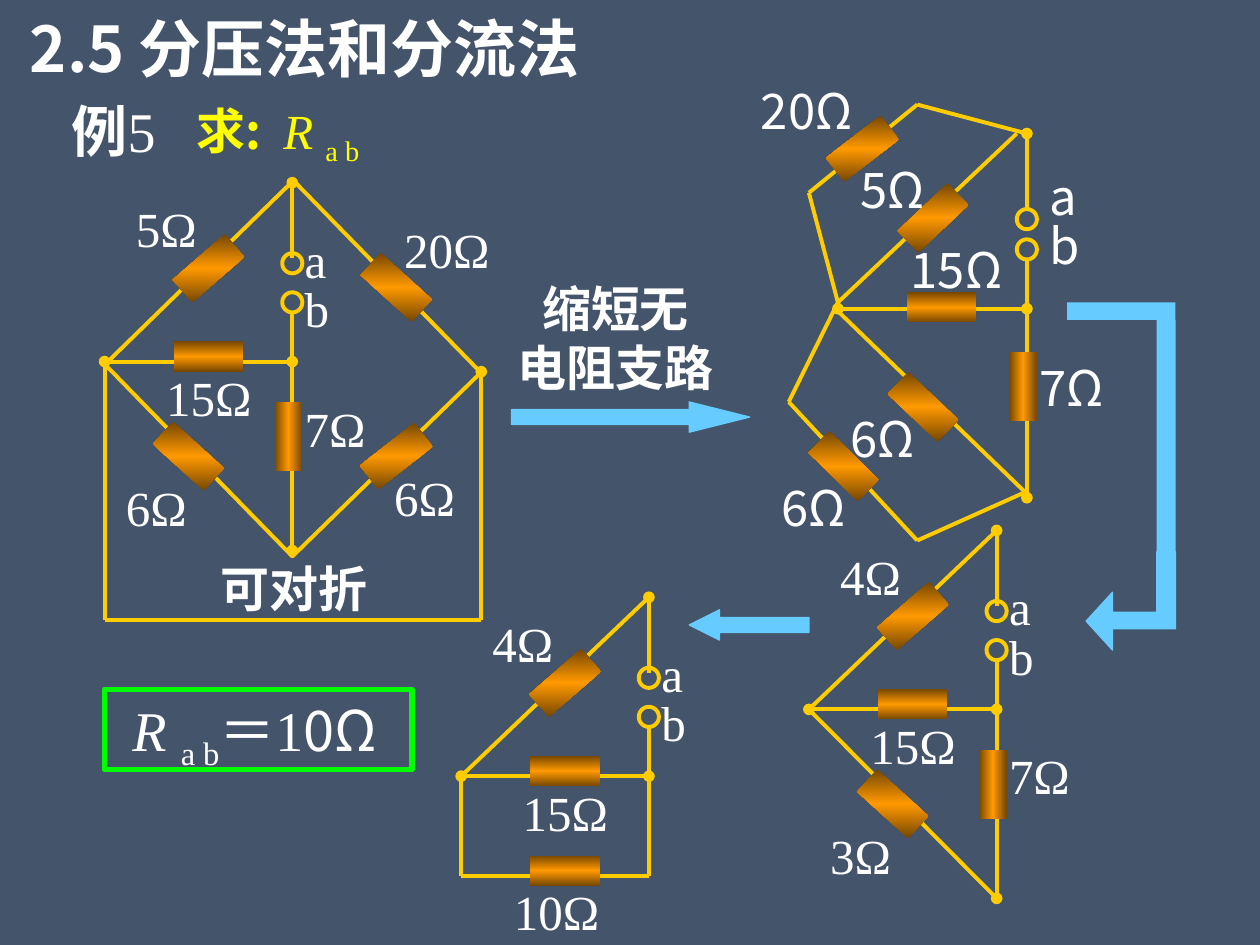
from lxml import etree
from pptx import Presentation
from pptx.dml.color import RGBColor
from pptx.enum.shapes import MSO_CONNECTOR, MSO_SHAPE
from pptx.enum.text import MSO_ANCHOR, PP_ALIGN
from pptx.oxml.ns import qn
from pptx.util import Inches, Pt

RECT, OVAL, ARROW = MSO_SHAPE.RECTANGLE, MSO_SHAPE.OVAL, MSO_SHAPE.RIGHT_ARROW
STRAIGHT = MSO_CONNECTOR.STRAIGHT
LEFT, CENTER = PP_ALIGN.LEFT, PP_ALIGN.CENTER
MIDDLE, TOP = MSO_ANCHOR.MIDDLE, MSO_ANCHOR.TOP
SERIF, SANS, PLAIN = "Times New Roman", "Noto Sans CJK SC", "Arial"
COLORS = {"back": "44546A", "wire": "FFCC00", "text": "FFFFFF", "ask": "FFFF00",
          "flow": "66CCFF", "answer": "00FF00", "core": "FF9900", "edge": "764700"}

prs = Presentation()
prs.slide_width, prs.slide_height = Inches(10), Inches(7.5)
cell = prs.slide_width / 100
slide = prs.slides.add_slide(prs.slide_layouts[5])
slide.background.fill.solid()
slide.background.fill.fore_color.rgb = RGBColor.from_string(COLORS["back"])


def grid(*cells):
    return [round(value * cell) for value in cells]


def add_run(paragraph, text, size, font, color="text", bold=False, italic=False, drop=False):
    run = paragraph.add_run()
    run.text = text
    run.font.size, run.font.name = Pt(size), font
    run.font.bold, run.font.italic = bold, italic
    run.font.color.rgb = RGBColor.from_string(COLORS[color])
    props = run.font._element
    etree.SubElement(props, qn("a:ea")).set("typeface", SANS)
    if drop:
        props.set("baseline", "-25000")


title = slide.shapes.title
title.left, title.top, title.width, title.height = grid(0, 0.2, 48.4, 7.1)
title.text_frame.vertical_anchor = MIDDLE
title.text_frame.paragraphs[0].alignment = CENTER
add_run(title.text_frame.paragraphs[0], "2.5 分压法和分流法", 36, SANS, bold=True)

wires = [
    (8.3, 28.7, 8.3, 49.2, ""), (8.3, 49.2, 38.2, 49.2, ""), (38.2, 29.5, 38.2, 49.2, "head"),
    (62.6, 31.9, 72.8, 42.9, ""), (66.3, 24.5, 81.5, 39.2, ""), (66.5, 24, 80.7, 10.6, ""),
    (81.5, 10.6, 81.5, 16.6, "head"), (81.5, 20.5, 81.5, 39.5, "tail"),
    (66.5, 24.5, 81.5, 24.5, "head tail"), (66.5, 24, 62.6, 31.9, ""),
    (81.5, 39, 72.8, 42.9, ""), (64.2, 15.3, 72.8, 8.3, ""),
    (64.2, 15.3, 66.5, 24, ""), (72.8, 8.3, 81.5, 10.6, ""),
    (51.5, 69.5, 36.6, 69.5, ""), (36.6, 61.6, 36.6, 69.5, ""), (51.5, 57.7, 51.5, 69.5, ""),
]
rings = [(80.7, 16.6), (80.7, 19)]
flat_resistors = [
    (28.7, 35, 321.8), (28.7, 21.6, 42.3), (72, 23.2, 0), (65.7, 10.6, 322.3),
    (71.3, 16.1, 316.4), (64.2, 35.8, 44.6), (70.5, 31.1, 43.5), (42.1, 67.9, 0),
]
upright_resistors = [(80.1, 27.9)]
labels = [
    (31.1, 16.9, "20Ω", SERIF), (30.3, 36.6, "6Ω", SERIF), (39.8, 69.5, "10Ω", SERIF),
    (71.3, 18.5, "15Ω", SANS), (59.4, 5.9, "20Ω", SANS), (82.3, 16.6, "b", SANS),
    (82.3, 12.7, "a", SANS), (67.3, 12.2, "5Ω", SANS), (66.5, 31.9, "6Ω", SANS),
    (61, 37.4, "6Ω", SANS), (81.5, 27.9, "7Ω", SANS),
]

for x, y, upper, lower in [(8.3, 28.7, "5Ω", "6Ω"), (64.2, 56.3, "4Ω", "3Ω"),
                           (36.6, 61.6, "4Ω", None)]:
    right = x + 14.9
    wires += [(right, y - 14.2, right, y - 8.2, "head"), (x, y, right, y, "head tail")]
    rings += [(x + 14.1, y - 8.6), (x + 14.1, y - 5.5)]
    flat_resistors += [(x + 5.5, y - 1.6, 0), (x + 5.5, y - 8.6, 318.8)]
    labels += [(x + 3.9, y, "15Ω", SERIF), (right, y - 7.1, "b", SERIF),
               (right, y - 11, "a", SERIF), (x + 1.5, y - 13.4, upper, SERIF)]
    if upper == "4Ω":
        wires.append((x, y, right, y - 14.2, ""))
    if lower:
        wires.append((right, y - 3.9, right, y + 15, "tail"))
        flat_resistors.append((x + 3.9, y + 6.3, 42.3))
        upright_resistors.append((x + 13.5, y + 3.2))
        labels += [(x + 0.7, y + 8.7, lower, SERIF), (right, y + 2.4, "7Ω", SERIF)]
    else:
        wires.append((right, y - 3.9, right, y, ""))
    if lower == "3Ω":
        wires.append((x, y, right, y + 15, ""))

for x1, y1, x2, y2, dots in wires:
    wire = slide.shapes.add_connector(STRAIGHT, *grid(x1, y1, x2, y2))
    wire.line.color.rgb = RGBColor.from_string(COLORS["wire"])
    wire.line.width = Pt(2.25)
    for end in dots.split():
        etree.SubElement(wire.line._get_or_add_ln(), qn(f"a:{end}End")).set("type", "oval")
    etree.SubElement(wire._element.spPr, qn("a:effectLst"))

outlines = [(OVAL, (x, y, 1.6, 1.6), 0, "wire", 2.25) for x, y in rings]
outlines += [(RECT, (12.6, 18.8, 21.3, 20.9), 45.7, "wire", 2.25),
             (RECT, (8.3, 54.7, 24.4, 6.4), 0, "answer", 3)]
for kind, place, turn, color, weight in outlines:
    outline = slide.shapes.add_shape(kind, *grid(*place))
    outline.rotation = turn
    outline.shadow.inherit = False
    outline.fill.background()
    outline.line.color.rgb = RGBColor.from_string(COLORS[color])
    outline.line.width = Pt(weight)

answer = outline.text_frame
answer.word_wrap = True
answer.vertical_anchor = TOP
answer.margin_right = 0
formula = answer.paragraphs[0]
formula.alignment = LEFT
add_run(formula, " ", 32, PLAIN)
add_run(formula, "R ", 32, SERIF, italic=True)
add_run(formula, "a b", 32, SERIF, drop=True)
add_run(formula, "＝1", 32, SERIF)
add_run(formula, "0Ω", 32, SANS)

resistors = [(x, y, 5.5, 2.4, turn, 90) for x, y, turn in flat_resistors]
resistors += [(x, y, 2.2, 5.5, 0, 0) for x, y in upright_resistors]
for x, y, width, height, turn, angle in resistors:
    resistor = slide.shapes.add_shape(RECT, *grid(x, y, width, height))
    resistor.rotation = turn
    resistor.shadow.inherit = False
    resistor.line.fill.background()
    resistor.fill.gradient()
    resistor.fill.gradient_angle = angle
    gradient = resistor._element.spPr.find(qn("a:gradFill"))
    gradient.set("rotWithShape", "0")
    stops = gradient.find(qn("a:gsLst"))
    for stop in list(stops):
        stops.remove(stop)
    for position, color in [(0, "edge"), (50000, "core"), (100000, "edge")]:
        stop = etree.SubElement(stops, qn("a:gs"))
        stop.set("pos", str(position))
        etree.SubElement(stop, qn("a:srgbClr")).set("val", COLORS[color])

flows = []
for place, turn, length in [((40.6, 31.9, 18.9, 2.4), 0, 2), ((54.7, 48.4, 9.5, 2.4), 180, 1)]:
    flow = slide.shapes.add_shape(ARROW, *grid(*place))
    flow.adjustments[0], flow.adjustments[1] = 0.5, length
    flow.rotation = turn
    flows.append((flow, True))
for place in [(84.7, 24, 8.6, 1.4), (91.8, 25.4, 1.5, 19.1)]:
    flows.append((slide.shapes.add_shape(RECT, *grid(*place)), False))
bend = [(88.3, 47), (88.3, 48.6), (91.8, 48.6), (91.8, 43.8), (93.3, 43.8),
        (93.3, 49.9), (88.3, 49.9), (88.3, 51.6)]
turning = slide.shapes.build_freeform(*grid(86.2, 49.3))
turning.add_line_segments([grid(*corner) for corner in bend], close=True)
flows.append((turning.convert_to_shape(), True))
for flow, edged in flows:
    flow.shadow.inherit = False
    flow.fill.solid()
    flow.fill.fore_color.rgb = RGBColor.from_string(COLORS["flow"])
    if edged:
        flow.line.color.rgb = RGBColor.from_string(COLORS["flow"])
        flow.line.width = Pt(0.75)
    else:
        flow.line.fill.background()

captions = [((x, y, 9.5, 5.7), [[(text, 28, font)]]) for x, y, text, font in labels]
captions += [
    ((4.7, 7.2, 10.2, 6.3), [[("例", 32, SERIF, "text", True), ("5", 32, SERIF)]]),
    ((14.6, 7.5, 16.5, 5.7), [[("求:  ", 28, SANS, "ask", True),
                               ("R ", 28, SERIF, "ask", False, True),
                               ("a b", 28, SERIF, "ask", False, False, True)]]),
    ((39.8, 21.6, 18.1, 10.3), [[("缩短无", 28, PLAIN, "text", True)],
                                [("电阻支路", 28, PLAIN, "text", True)]]),
    ((16.5, 43.8, 14.6, 5.7), [[("可对折", 28, PLAIN, "text", True)]]),
]
for place, lines in captions:
    caption = slide.shapes.add_textbox(*grid(*place)).text_frame
    caption.word_wrap = True
    for index, runs in enumerate(lines):
        paragraph = caption.add_paragraph() if index else caption.paragraphs[0]
        if len(lines) > 1:
            paragraph.alignment = CENTER
        for run in runs:
            add_run(paragraph, *run)

prs.save("out.pptx")
